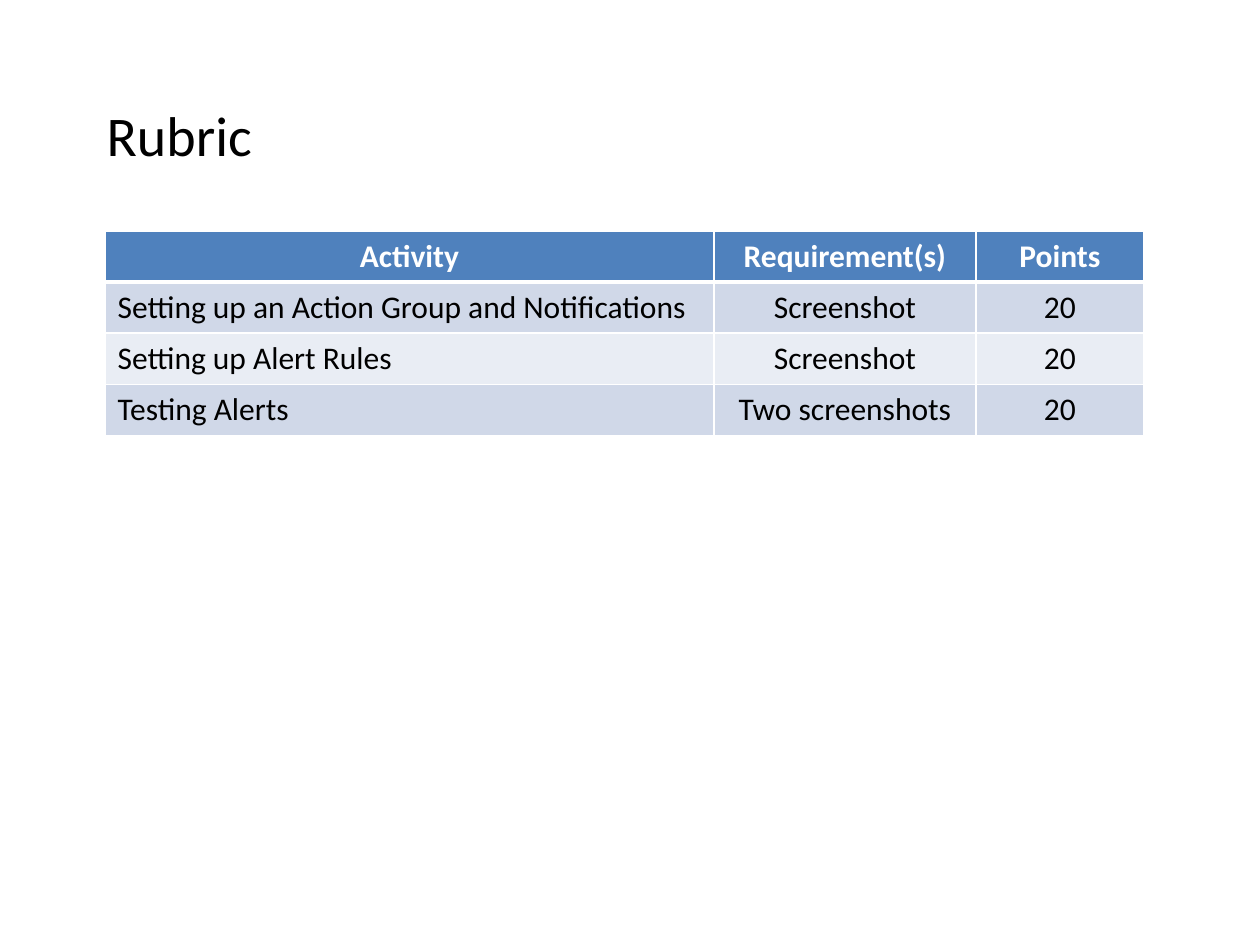
from lxml import etree
from pptx import Presentation, util as u
from pptx.dml.color import RGBColor
from pptx.enum import text
from pptx.oxml.ns import qn

PX = 914400 // 126


def px(n):
    return u.Emu(n * PX)


def rgb(code):
    return RGBColor.from_string(code)


class Deck:
    font = "Calibri"
    ink, white, head = "000000", "FFFFFF", "4F81BD"
    bands = ["D0D8E8", "E9EDF4"]

    def __init__(self, wide, high):
        self.prs = Presentation()
        self.prs.slide_width, self.prs.slide_height = px(wide), px(high)
        self.slide = self.prs.slides.add_slide(self.prs.slide_layouts[5])

    def run(self, par, words, size, color, bold=False):
        run = par.add_run()
        run.text = words
        run.font.name, run.font.size, run.font.bold = self.font, u.Pt(size), bold
        run.font.color.rgb = rgb(color)

    def title(self, words, x, y, w, h):
        box = self.slide.shapes.title
        box.left, box.top, box.width, box.height = map(px, (x, y, w, h))
        frame = box.text_frame
        frame.word_wrap = True
        frame.vertical_anchor = text.MSO_ANCHOR.TOP
        par = frame.paragraphs[0]
        par.alignment = text.PP_ALIGN.LEFT
        par.space_before = u.Pt(2)
        self.run(par, words, 32, self.ink)

    def edges(self, cell, top, base):
        props = cell._tc.get_or_add_tcPr()
        sides = {"lnL": 1, "lnR": 1, "lnT": top, "lnB": base}
        for i, (tag, width) in enumerate(sides.items()):
            line = etree.Element(qn("a:" + tag), w=str(u.Pt(width)))
            fill = etree.SubElement(line, qn("a:solidFill"))
            etree.SubElement(fill, qn("a:srgbClr"), val=self.white)
            props.insert(i, line)

    def table(self, rows, x, y, cols, high):
        grid = self.slide.shapes.add_table(
            len(rows), len(cols), px(x), px(y),
            px(sum(cols)), px(high * len(rows))).table
        for col, wide in zip(grid.columns, cols):
            col.width = px(wide)
        for r, row in enumerate(rows):
            first = r == 0
            for c, words in enumerate(row):
                cell = grid.cell(r, c)
                cell.fill.solid()
                cell.fill.fore_color.rgb = rgb(
                    self.head if first else self.bands[(r - 1) % 2])
                # The rule under the heading is thicker
                self.edges(cell, 3 if r == 1 else 1, 3 if first else 1)
                par = cell.text_frame.paragraphs[0]
                mid = first or c > 0
                par.alignment = text.PP_ALIGN.CENTER if mid else text.PP_ALIGN.LEFT
                self.run(par, words, 18, self.white if first else self.ink, first)


def main():
    deck = Deck(1260, 945)

    # Heading
    deck.title("Rubric", 94, 94, 1134, 624)

    # Grading table
    deck.table([
        ("Activity", "Requirement(s)", "Points"),
        ("Setting up an Action Group and Notifications", "Screenshot", "20"),
        ("Setting up Alert Rules", "Screenshot", "20"),
        ("Testing Alerts", "Two screenshots", "20"),
    ], 105, 231, (609, 262, 168), 51)

    deck.prs.save("out.pptx")


if __name__ == "__main__":
    main()
